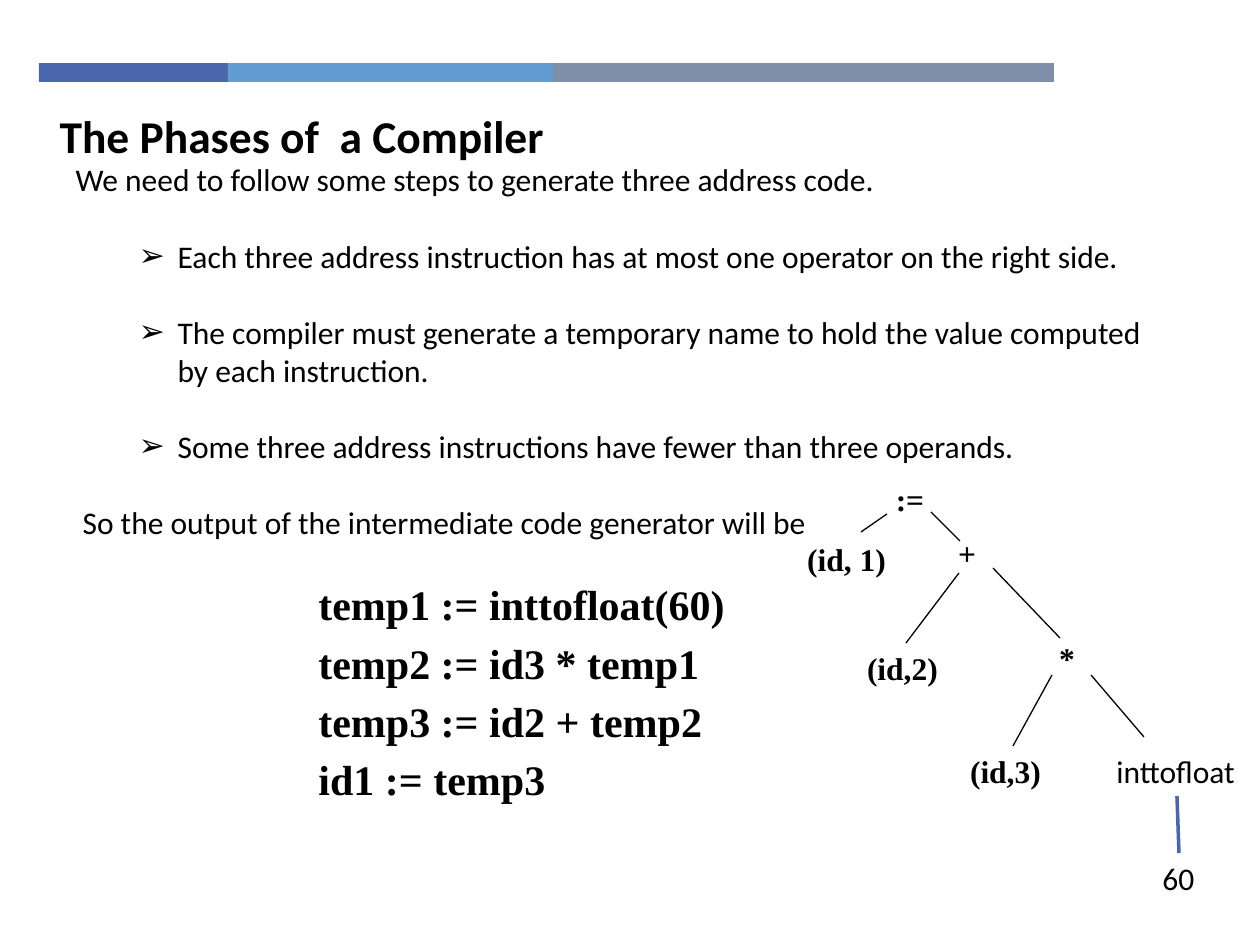
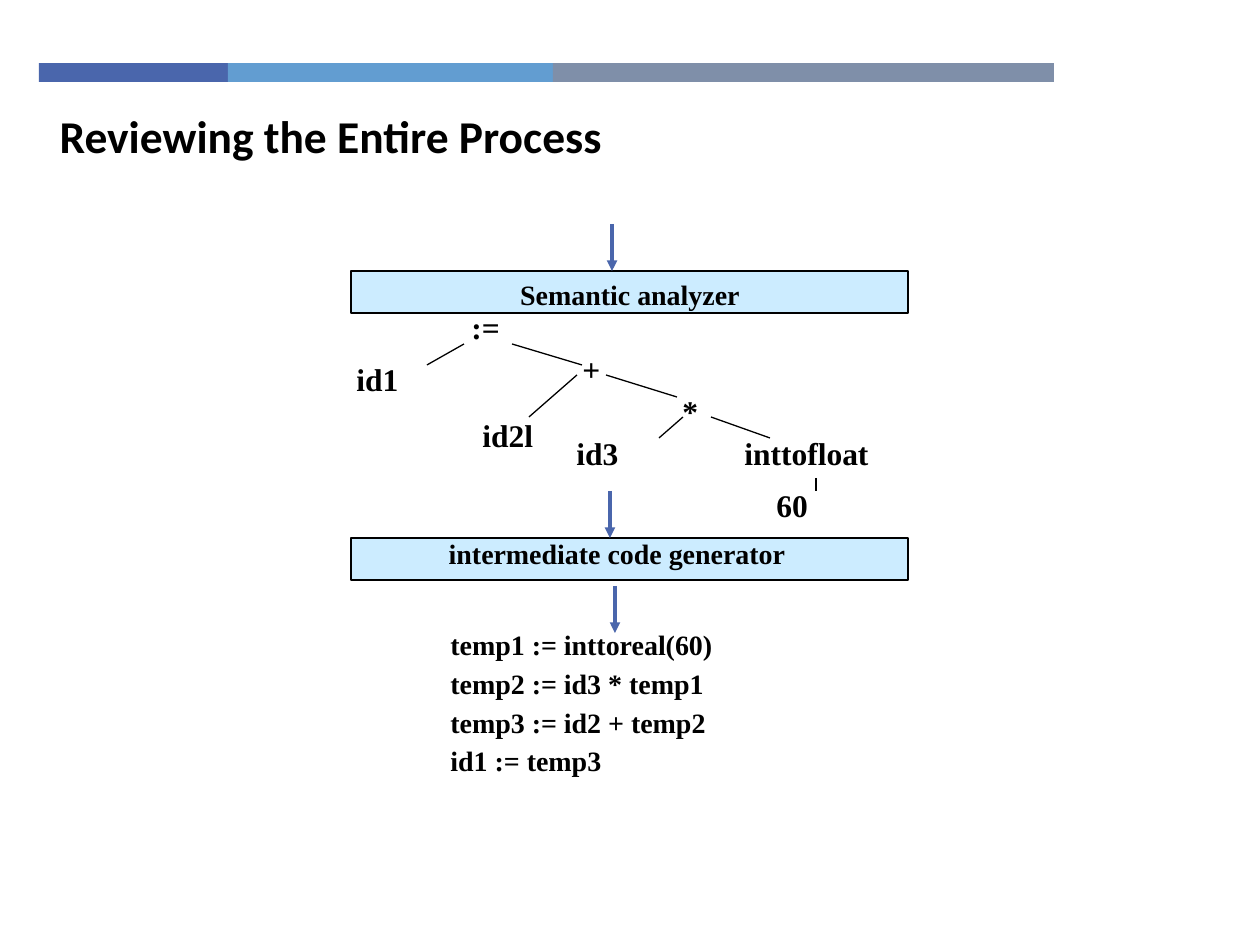
from dataclasses import dataclass

from lxml.etree import SubElement
from pptx import Presentation
from pptx.dml.color import RGBColor as Color
from pptx.enum.shapes import MSO_CONNECTOR as Connector, MSO_SHAPE as Preset
from pptx.enum.text import MSO_ANCHOR as Anchor, MSO_AUTO_SIZE as AutoSize, PP_ALIGN as Align
from pptx.oxml.ns import qn
from pptx.util import Emu, Pt


@dataclass(frozen=True)
class Theme:
    """Colours, fonts and type sizes of the deck."""
    ink: str = "000000"
    accent: str = "4A66AC"
    sky: str = "629DD1"
    slate: str = "7F8FA9"
    stage: str = "CCECFF"
    sans: str = "Calibri"
    serif: str = "Times New Roman"
    title: int = 26
    code: int = 24
    body: int = 18
    small: int = 16
    hairline: float = 0.75
    arrow: float = 2


THEME = Theme()
EMU_PER_PX = 914400 / 126
TOP, BOTTOM = 0, 2
LABEL_HEIGHT = 50
BODY_GAP = 22
CODE_GAP = 0.54


def px(length):
    """Turn pixels into EMU."""
    return Emu(round(length * EMU_PER_PX))


def write(para, text, *, font=THEME.serif, size=THEME.body, bold=False,
          align=Align.LEFT, before=0, spacing=None, margin=0, hanging=0, bullet=None):
    """Fill one paragraph with formatted text."""
    span = para.add_run()
    span.text = text
    span.font.name = font
    span.font.size = Pt(size)
    span.font.bold = bold
    span.font.color.rgb = Color.from_string(THEME.ink)
    para.alignment = align
    para.space_before = Pt(before)
    if spacing:
        para.line_spacing = spacing
    properties = para._p.get_or_add_pPr()
    properties.set("marL", str(px(margin)))
    properties.set("indent", str(-px(hanging)))
    if bullet:
        SubElement(properties, qn("a:buChar")).set("char", bullet)
    else:
        SubElement(properties, qn("a:buNone"))


def set_frame(box, wrap=True, anchor=Anchor.TOP):
    """Fix a text frame's wrapping and anchor and return the frame."""
    frame = box.text_frame
    frame.word_wrap = wrap
    frame.auto_size = AutoSize.NONE
    frame.vertical_anchor = anchor
    return frame


def place(box, left, top, width, height):
    """Move and size a placeholder."""
    box.left, box.top, box.width, box.height = map(px, (left, top, width, height))


def add_label(page, text, left, top, width, wrap=True, **style):
    """Add a one-line text box."""
    box = page.shapes.add_textbox(*map(px, (left, top, width, LABEL_HEIGHT)))
    write(set_frame(box, wrap).paragraphs[0], text, **style)
    return box


def add_code(page, lines, left, top, width, height, size):
    """Add a listing of bold code lines."""
    box = page.shapes.add_textbox(*map(px, (left, top, width, height)))
    frame = set_frame(box)
    write(frame.paragraphs[0], lines[0], size=size, bold=True)
    for line in lines[1:]:
        write(frame.add_paragraph(), line, size=size, bold=True,
              before=round(size * CODE_GAP, 1), spacing=0.7)


def add_rect(page, left, top, width, height, fill, outline=None):
    """Add a flat rectangle."""
    rect = page.shapes.add_shape(Preset.RECTANGLE, *map(px, (left, top, width, height)))
    rect.shadow.inherit = False
    rect.fill.solid()
    rect.fill.fore_color.rgb = Color.from_string(fill)
    if outline:
        rect.line.color.rgb = Color.from_string(outline)
        rect.line.width = Pt(THEME.hairline)
    else:
        rect.line.fill.background()
    return rect


def add_line(page, start, end, color=THEME.ink, width=THEME.hairline, arrow=False):
    """Add a straight connector, with an arrowhead if asked."""
    line = page.shapes.add_connector(Connector.STRAIGHT, *map(px, (*start, *end)))
    line.line.color.rgb = Color.from_string(color)
    line.line.width = Pt(width)
    if arrow:
        SubElement(line.line._get_or_add_ln(), qn("a:tailEnd")).set("type", "triangle")
    SubElement(line._element.spPr, qn("a:effectLst"))
    return line


def add_band(deck, page):
    """Draw the three-part band and hand it to the slide master."""
    left = 39
    for width, fill in ((189, THEME.accent), (325, THEME.sky), (501, THEME.slate)):
        bar = add_rect(page, left, 63, width, 19, fill)
        deck.slide_master.shapes.element.append(bar.element)
        left += width


def add_page(deck, layout, title):
    """Add a page with its title."""
    page = deck.slides.add_slide(deck.slide_layouts.get_by_name(layout))
    place(page.shapes.title, 47, 101, 902, 68)
    frame = set_frame(page.shapes.title, anchor=Anchor.MIDDLE)
    write(frame.paragraphs[0], title, font=THEME.sans, size=THEME.title, bold=True)
    return page


def add_steps(page, intro, steps, outcome):
    """Fill the body placeholder with an introduction, bullets and an outcome."""
    body = page.placeholders[1]
    place(body, 63, 154, 1115, 661)
    frame = set_frame(body)
    write(frame.paragraphs[0], intro, font=THEME.sans)
    for step in steps:
        para = frame.add_paragraph()
        para.level = 1
        write(para, step, font=THEME.sans, before=BODY_GAP,
              margin=102, hanging=39, bullet="➢")
    write(frame.add_paragraph(), outcome, font=THEME.sans, before=BODY_GAP, margin=7)


def add_tree(page, nodes, branches, align):
    """Add a syntax tree and return its node boxes by text."""
    boxes = {text: add_label(page, text, *spot, bold=True, align=align)
             for text, spot in nodes.items()}
    for start, end in branches:
        add_line(page, start, end)
    return boxes


def add_stage(page, text, top, text_left, text_top):
    """Add a compiler stage bar with its name."""
    add_rect(page, 351, top, 557, 42, THEME.stage, THEME.ink)
    add_label(page, text, text_left, text_top, 514, size=THEME.small, bold=True,
              align=Align.CENTER)


def build_phases(deck):
    """Build the page on three address code."""
    page = add_page(deck, "Title and Content", "The Phases of  a Compiler")
    add_band(deck, page)
    add_steps(
        page,
        "We need to follow some steps to generate three address code.",
        ("Each three address instruction has at most one operator on the right side.",
         "The compiler must generate a temporary name to hold the value computed "
         "by each instruction.",
         "Some three address instructions have fewer than three operands."),
        "So the output of the intermediate code generator will be")
    add_code(page, ("temp1 := inttofloat(60)", "temp2 := id3 * temp1",
                    "temp3 := id2 + temp2", "id1 := temp3"),
             306, 572, 582, 247, THEME.code)
    nodes = {"(id, 1)": (747, 534, 199), "(id,2)": (803, 643, 199),
             "(id,3)": (906, 746, 199), ":=": (857, 474, 106),
             "+": (914, 528, 106), "*": (1014, 633, 106)}
    branches = (((887, 514), (861, 532)), ((931, 512), (960, 541)),
                ((959, 573), (906, 643)), ((993, 568), (1060, 638)),
                ((1052, 675), (1013, 746)), ((1091, 675), (1144, 737)))
    add_tree(page, nodes, branches, Align.CENTER)
    conversion = add_label(page, "inttofloat", 1104, 746, 146, wrap=False, font=THEME.sans)
    number = add_label(page, "60", 1150, 853, 58, wrap=False, font=THEME.sans)
    link = add_line(page, (1177, 796), (1179, 853), THEME.accent, THEME.arrow)
    link.begin_connect(conversion, BOTTOM)
    link.end_connect(number, TOP)


def build_review(deck):
    """Build the page that reviews the process."""
    page = add_page(deck, "Title Only", "Reviewing the Entire Process")
    add_stage(page, "Semantic analyzer", 271, 373, 271)
    nodes = {":=": (459, 302, 95), "id1": (344, 354, 178), "id2l": (470, 410, 178),
             "id3": (564, 428, 178), "+": (570, 344, 95), "*": (670, 386, 95),
             "inttofloat": (732, 428, 168), "60": (764, 480, 105)}
    branches = (((464, 344), (427, 365)), ((512, 344), (582, 365)),
                ((606, 375), (677, 397)), ((711, 417), (770, 438)),
                ((683, 417), (659, 438)), ((577, 375), (529, 417)))
    boxes = add_tree(page, nodes, branches, Align.LEFT)
    tick = add_line(page, (816, 480), (816, 491))
    tick.begin_connect(boxes["inttofloat"], BOTTOM)
    add_stage(page, "intermediate code generator", 538, 360, 530)
    for center, top in ((612, 224), (610, 491), (615, 586)):
        add_line(page, (center, top), (center, top + 47), THEME.accent, THEME.arrow, arrow=True)
    add_code(page, ("temp1 := inttoreal(60)", "temp2 := id3 * temp1",
                    "temp3 := id2 + temp2", "id1 := temp3"),
             438, 621, 462, 168, THEME.small)


def main():
    """Build and save the deck."""
    deck = Presentation()
    deck.slide_width, deck.slide_height = px(1260), px(945)
    build_phases(deck)
    build_review(deck)
    deck.save("out.pptx")


if __name__ == "__main__":
    main()
